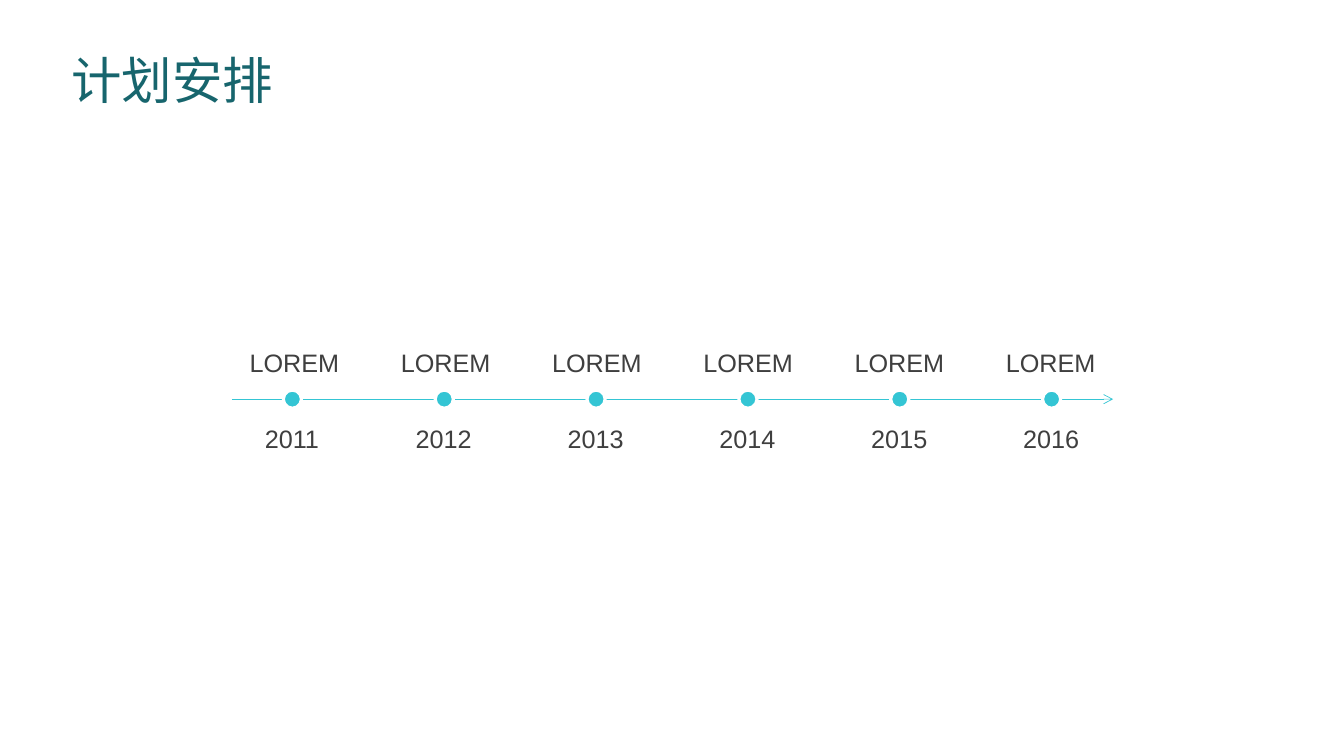
import pptx
import pptx.util
import pptx.dml.color
import pptx.enum.shapes
import pptx.enum.text
import pptx.oxml.ns
import lxml.etree

Inches, Pt = pptx.util.Inches, pptx.util.Pt
RGBColor = pptx.dml.color.RGBColor
ALIGN = pptx.enum.text.PP_ALIGN
ANCHOR = pptx.enum.text.MSO_ANCHOR
qn = pptx.oxml.ns.qn

TEAL = RGBColor(0x17, 0x65, 0x6D)
CYAN = RGBColor(0x34, 0xC5, 0xD4)
GREY = RGBColor(0x3F, 0x3F, 0x3F)
WHITE = RGBColor(0xFF, 0xFF, 0xFF)

YEARS = range(2011, 2017)


class Timeline:
    font = "Arial"

    def __init__(self, slide):
        self.s = slide

    def set_text(self, sp, text, size, color, spacing, align, anchor):
        tf = sp.text_frame
        tf.text = text
        tf.word_wrap = True
        tf.auto_size = pptx.enum.text.MSO_AUTO_SIZE.NONE
        tf.vertical_anchor = anchor
        p = tf.paragraphs[0]
        p.alignment = align
        p.line_spacing = spacing
        p.space_before = Pt(0)
        font = p.runs[0].font
        font.name, font.size, font.color.rgb = self.font, Pt(size), color

    def title(self, text, left, top, width, height):
        sp = self.s.shapes.title
        sp.left, sp.top = Inches(left), Inches(top)
        sp.width, sp.height = Inches(width), Inches(height)
        self.set_text(sp, text, 36, TEAL, 0.9, ALIGN.LEFT, ANCHOR.BOTTOM)

    def label(self, text, left, top, width, height, spacing, anchor):
        sp = self.s.shapes.add_textbox(
            Inches(left), Inches(top), Inches(width), Inches(height))
        self.set_text(sp, text, 18, GREY, spacing, ALIGN.CENTER, anchor)
        sp.text_frame.margin_left = sp.text_frame.margin_right = 0

    def arrow(self, x1, x2, y):
        c = self.s.shapes.add_connector(
            pptx.enum.shapes.MSO_CONNECTOR.STRAIGHT,
            Inches(x1), Inches(y), Inches(x2), Inches(y))
        c.line.color.rgb = CYAN
        c.line.width = Pt(0.5)
        spPr = c.element.spPr
        lxml.etree.SubElement(spPr.find(qn("a:ln")), qn("a:tailEnd"), type="arrow")
        lxml.etree.SubElement(spPr, qn("a:effectLst"))

    def dot(self, left, top, size):
        sp = self.s.shapes.add_shape(
            pptx.enum.shapes.MSO_SHAPE.OVAL,
            Inches(left), Inches(top), Inches(size), Inches(size))
        sp.shadow.inherit = False
        sp.fill.solid()
        sp.fill.fore_color.rgb = CYAN
        sp.line.color.rgb = WHITE
        sp.line.width = Pt(2.25)


def main():
    prs = pptx.Presentation()
    prs.slide_width, prs.slide_height = Inches(13.33), Inches(7.5)
    timeline = Timeline(prs.slides.add_slide(prs.slide_layouts[5]))

    timeline.title("计划安排", 0.61, 0.38, 7.33, 0.77)
    timeline.arrow(2.3, 11.04, 3.96)
    dot_step = (10.34 - 2.81) / (len(YEARS) - 1)
    for i, year in enumerate(YEARS):
        timeline.label("LOREM", 2.37 + 1.5 * i, 3.3, 1.1, 0.49, 1.3, ANCHOR.BOTTOM)
        timeline.dot(2.81 + dot_step * i, 3.87, 0.18)
        timeline.label(str(year), 2.49 + dot_step * i, 4.13, 0.81, 0.41, 1.1, ANCHOR.MIDDLE)

    prs.save("out.pptx")


if __name__ == "__main__":
    main()
